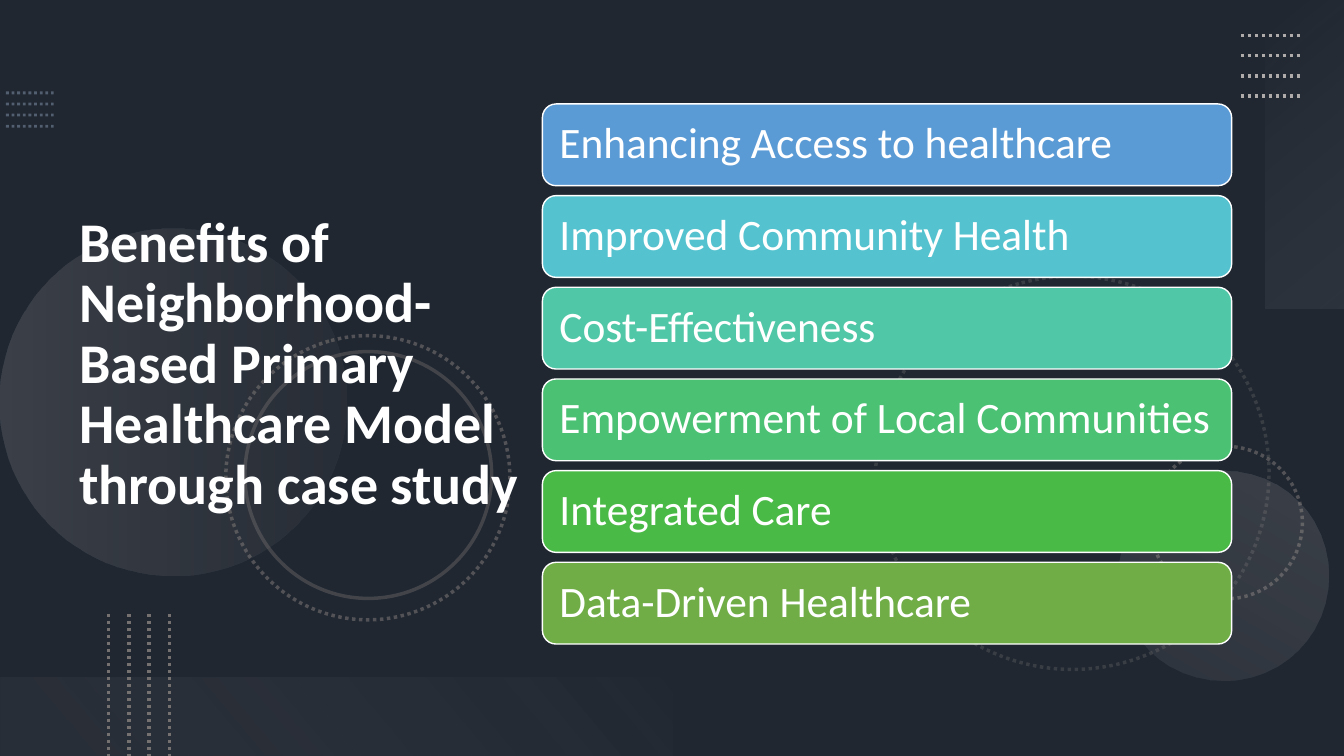
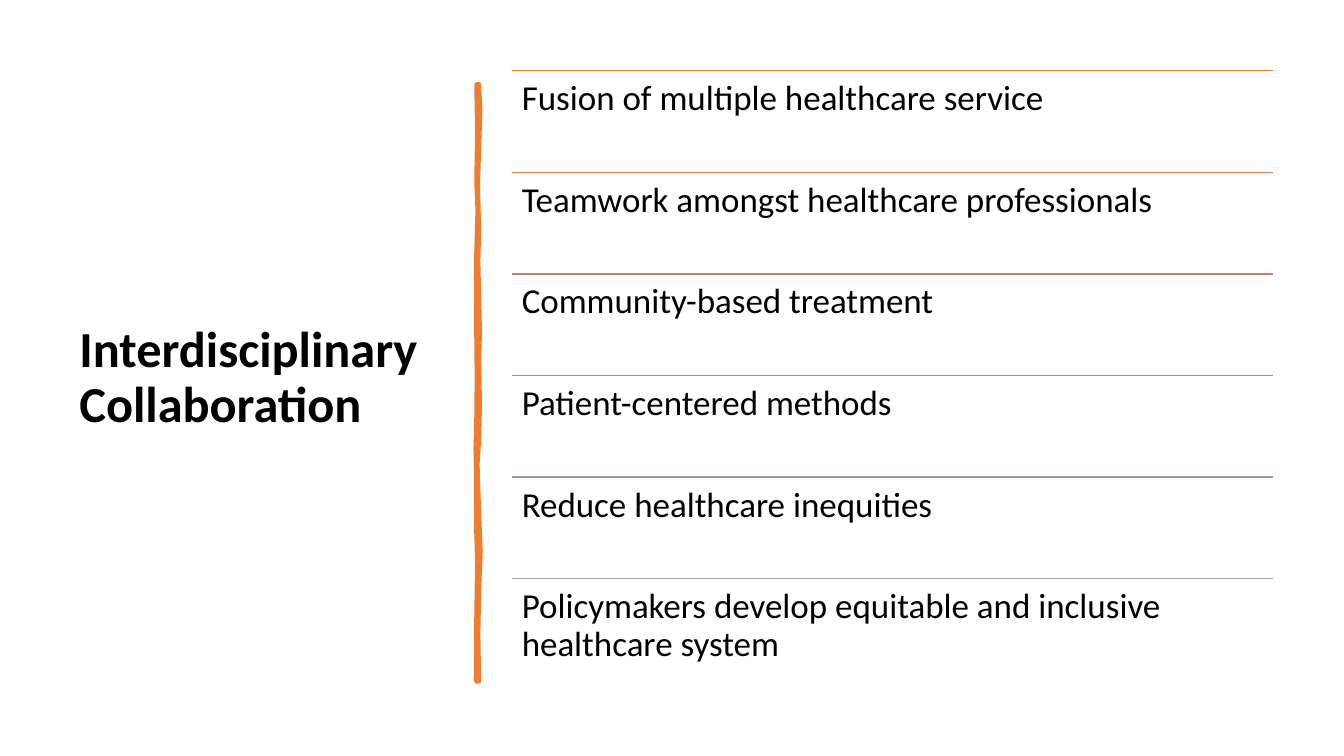
from lxml import etree
from pptx import Presentation
from pptx.dml.color import RGBColor
from pptx.enum.dml import MSO_LINE
from pptx.enum.shapes import MSO_CONNECTOR, MSO_SHAPE
from pptx.enum.text import MSO_ANCHOR, MSO_AUTO_SIZE, PP_ALIGN
from pptx.oxml.ns import qn
from pptx.util import Cm, Pt

DOTTED = MSO_LINE.ROUND_DOT
STRAIGHT = MSO_CONNECTOR.STRAIGHT
ELLIPSE = MSO_SHAPE.OVAL
RECTANGLE = MSO_SHAPE.RECTANGLE
ROUNDED = MSO_SHAPE.ROUNDED_RECTANGLE
TOP = MSO_ANCHOR.TOP
MIDDLE = MSO_ANCHOR.MIDDLE
LEFT = PP_ALIGN.LEFT
NO_AUTOFIT = MSO_AUTO_SIZE.NONE


class Theme:
    font = "Calibri"
    white = "FFFFFF"
    black = "000000"
    slate = "44546A"
    steel = "8497B0"
    gray = "767171"
    silver = "AFABAB"
    mist = "F5F5F5"
    orange = "ED7D31"
    cards = ["5B9BD5", "55C3CF", "50C8A7", "4BC174", "4ABA46", "70AD47"]
    rules = ["ED7D31", "DC7A4B", "CC7D64", "BD867B", "B09391", "A5A5A5"]
    wide_title = 40
    narrow_title = 36
    card_text = 31
    list_text = 25
    hairline = 1
    dots = 2.5
    brush = 3.25


def write_text(shape, text, size, color, anchor, inset, bold=False):
    frame = shape.text_frame
    frame.text = text
    paragraph = frame.paragraphs[0]
    margins = dict.fromkeys(
        ["margin_left", "margin_top", "margin_right", "margin_bottom"], inset)
    formats = [
        (frame, {"word_wrap": True, "auto_size": NO_AUTOFIT,
                 "vertical_anchor": anchor, **margins}),
        (paragraph, {"alignment": LEFT, "line_spacing": 0.9}),
        (paragraph.font, {"name": Theme.font, "size": Pt(size), "bold": bold}),
    ]
    for target, values in formats:
        for name, value in values.items():
            setattr(target, name, value)
    paragraph.font.color.rgb = RGBColor.from_string(color)


def finish_shape(shape, line_color=None, width=0, dash=None, opacities=()):
    if line_color:
        shape.line.color.rgb = RGBColor.from_string(line_color)
        shape.line.width = Pt(width)
        if dash:
            shape.line.dash_style = dash
    else:
        shape.line.fill.background()
    properties = shape._element.spPr
    for color, opacity in zip(properties.iter(qn("a:srgbClr")), opacities):
        etree.SubElement(color, qn("a:alpha"), val=str(opacity * 1000))
    etree.SubElement(properties, qn("a:effectLst"))


presentation = Presentation()
presentation.slide_width = Cm(33.87)
presentation.slide_height = Cm(19.05)

slide_formats = [
    {"title": "Benefits of Neighborhood-Based Primary Healthcare Model through case study",
     "box": (1.75, 1.37, 11.66, 15.67), "size": Theme.wide_title,
     "color": Theme.white, "background": Theme.slate},
    {"title": "Interdisciplinary Collaboration",
     "box": (1.75, 1.78, 9.5, 15.52), "size": Theme.narrow_title,
     "color": Theme.black, "background": Theme.white},
]
slides = []
for values in slide_formats:
    slide = presentation.slides.add_slide(presentation.slide_layouts[5])
    slide.background.fill.solid()
    slide.background.fill.fore_color.rgb = RGBColor.from_string(values["background"])
    title = slide.shapes.title
    for name, length in zip(["left", "top", "width", "height"], values["box"]):
        setattr(title, name, Cm(length))
    write_text(title, values["title"], values["size"], values["color"],
               MIDDLE, Cm(0.25), bold=True)
    slides.append(slide)
benefits_slide, collaboration_slide = slides

shapes = benefits_slide.shapes
overlay = shapes.add_shape(
    RECTANGLE, 0, 0, presentation.slide_width, presentation.slide_height)
overlay.fill.solid()
overlay.fill.fore_color.rgb = RGBColor.from_string(Theme.black)
finish_shape(overlay, opacities=[53])

rings = [
    (22.07, 6.96, 9.91, DOTTED, 30),
    (28.98, 11.25, 3.84, DOTTED, 60),
    (5.69, 8.46, 7.16, DOTTED, 60),
    (6.17, 8.86, 6.22, None, 40),
]
for left, top, diameter, dash, opacity in rings:
    ring = shapes.add_shape(ELLIPSE, Cm(left), Cm(top), Cm(diameter), Cm(diameter))
    ring.rotation = 75
    ring.fill.background()
    finish_shape(ring, Theme.gray, Theme.dots, dash, [opacity])

gradients = [
    (ELLIPSE, (0, 5.77, 8.74, 8.74), 270, 270,
     [(0, Theme.silver, 20), (1, Theme.gray, 10)]),
    (ELLIPSE, (28.19, 11.86, 5.28, 5.28), 210, 270,
     [(0, Theme.silver, 10), (1, Theme.silver, 20)]),
    (RECTANGLE, (29.01, 2.9, 7.77, 1.98), 270, 220,
     [(0, Theme.mist, 0), (1, Theme.silver, 10)]),
    (RECTANGLE, (0, 17.07, 16.94, 1.98), 180, 220,
     [(0.1, Theme.gray, 10), (1, Theme.mist, 0)]),
]
for kind, box, rotation, angle, stops in gradients:
    panel = shapes.add_shape(kind, *map(Cm, box))
    panel.rotation = rotation
    panel.fill.gradient()
    panel.fill.gradient_angle = angle
    for stop, (position, color, opacity) in zip(panel.fill.gradient_stops, stops):
        stop.position = position
        stop.color.rgb = RGBColor.from_string(color)
    finish_shape(panel, opacities=[opacity for _, _, opacity in stops])

dot_grids = [
    (0.15, 2.34, 1.2, 0, 0.28, Theme.steel, 2, 50),
    (31.27, 0.89, 1.52, 0, 0.51, Theme.silver, Theme.dots, 100),
    (2.74, 15.47, 0, 3.58, 0.51, Theme.gray, Theme.dots, 100),
]
for left, top, width, height, step, color, weight, opacity in dot_grids:
    for index in range(4):
        x = left + (step * index if height else 0)
        y = top + (step * index if width else 0)
        dots = shapes.add_connector(
            STRAIGHT, Cm(x), Cm(y), Cm(x + width), Cm(y + height))
        finish_shape(dots, color, weight, DOTTED, [opacity])

shapes._spTree.append(shapes.title._element)

benefits = [
    "Enhancing Access to healthcare",
    "Improved Community Health",
    "Cost-Effectiveness",
    "Empowerment of Local Communities",
    "Integrated Care",
    "Data-Driven Healthcare",
]
for index, (text, color) in enumerate(zip(benefits, Theme.cards)):
    card = shapes.add_shape(
        ROUNDED, Cm(13.67), Cm(2.62 + 2.31 * index), Cm(17.37), Cm(2.06))
    card.fill.solid()
    card.fill.fore_color.rgb = RGBColor.from_string(color)
    finish_shape(card, Theme.white, Theme.hairline)
    write_text(card, text, Theme.card_text, Theme.white, MIDDLE, Cm(0.33))

shapes = collaboration_slide.shapes
brush_outline = [
    (12.07, 2.13), (12.1, 2.8), (12.07, 3.71), (12.04, 4.7), (12.07, 5.74),
    (12.05, 6.6), (12.07, 7.47), (12.09, 8.4), (12.07, 9.04), (12.09, 10.2),
    (12.07, 11.07), (12.03, 11.7), (12.07, 12.95), (12.11, 13.9), (12.07, 14.83),
    (12.05, 16), (12.07, 17.17), (12.01, 17.17), (12, 16.4), (12.01, 15.57),
    (12.03, 14.15), (12, 13.1), (12.01, 12.12), (11.99, 11.3), (12.01, 10.54),
    (12.02, 9.5), (12.01, 8.51), (12, 7.4), (12.01, 6.35), (12.04, 5.3),
    (12.01, 4.6), (12.03, 3.3), (12.01, 2.13),
]
points = [(Cm(x), Cm(y)) for x, y in brush_outline]
builder = shapes.build_freeform(*points[0])
builder.add_line_segments(points[1:], close=True)
brush_stroke = builder.convert_to_shape()
brush_stroke.fill.solid()
brush_stroke.fill.fore_color.rgb = RGBColor.from_string(Theme.orange)
finish_shape(brush_stroke, Theme.orange, Theme.brush)

practices = [
    "Fusion of multiple healthcare service",
    "Teamwork amongst healthcare professionals",
    "Community-based treatment",
    "Patient-centered methods",
    "Reduce healthcare inequities",
    "Policymakers develop equitable and inclusive healthcare system",
]
row_left, row_width, row_height = 12.9, 19.18, 2.56
for index, (text, color) in enumerate(zip(practices, Theme.rules)):
    top = Cm(1.78 + row_height * index)
    rule = shapes.add_connector(
        STRAIGHT, Cm(row_left), top, Cm(row_left + row_width), top)
    finish_shape(rule, color, Theme.hairline)
    row = shapes.add_textbox(Cm(row_left), top, Cm(row_width), Cm(row_height))
    write_text(row, text, Theme.list_text, Theme.black, TOP, Cm(0.25))

presentation.save("out.pptx")
